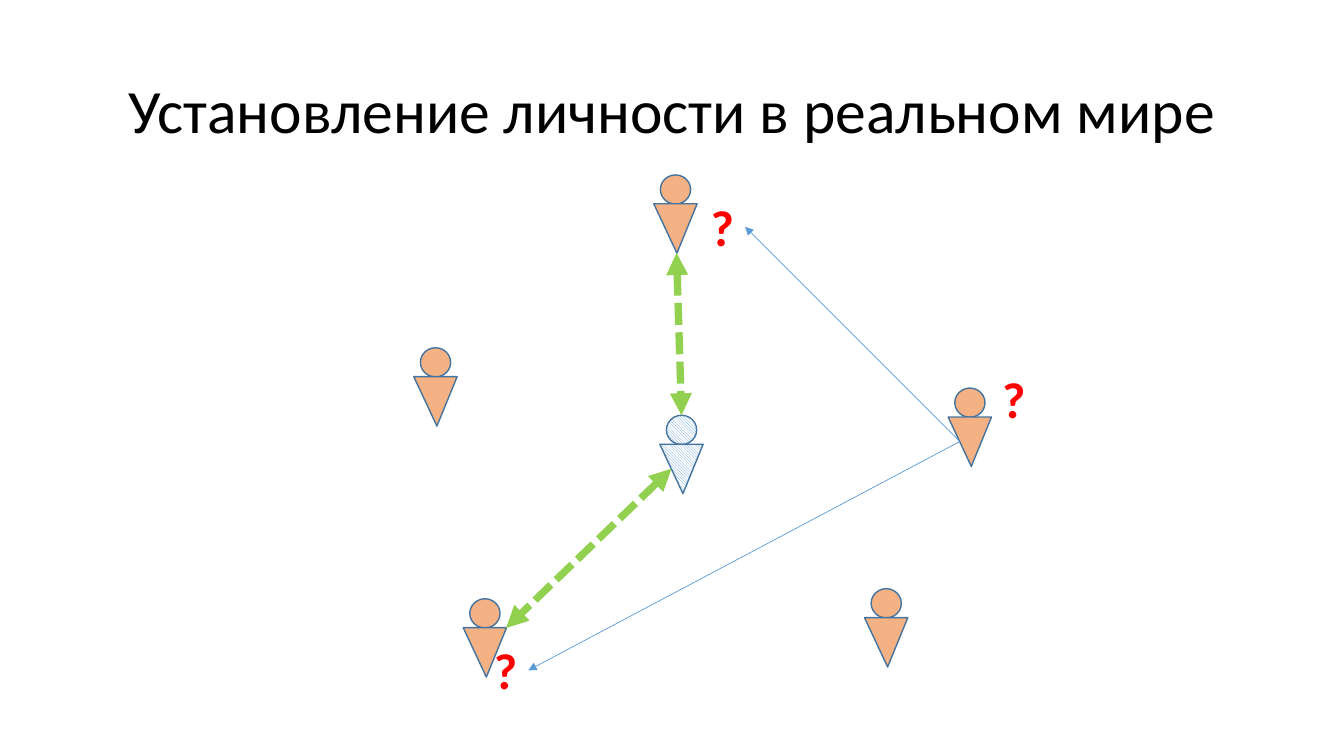
from lxml import etree
from pptx import Presentation
from pptx import util as u
from pptx.dml.color import RGBColor
from pptx.enum import dml, shapes, text
from pptx.oxml import ns

HUES = {"ink": "000000", "paper": "FFFFFF", "skin": "F4B183", "edge": "43739E",
        "blue": "5B9BD5", "green": "92D050", "red": "FF0000"}
CELL = 0.1  # grid step in inches: 133.33 columns by 75 rows


def hue(name):
    return RGBColor.from_string(HUES[name])


def grid(*cells):
    return [u.Inches(c * CELL) for c in cells]


def put(item, form):
    for key, val in form.items():
        setattr(item, key, val)


class Board:
    font = "Calibri"

    def __init__(self, deck):
        self.slide = deck.slides.add_slide(deck.slide_layouts[6])
        self.items = self.slide.shapes

    def label(self, words, box, frame, para, font, tint):
        area = self.items.add_textbox(*grid(*box)).text_frame
        put(area, frame)
        line = area.paragraphs[0]
        line.text = words
        put(line, para)
        put(line.runs[0].font, {"name": self.font, **font})
        line.runs[0].font.color.rgb = hue(tint)

    def limb(self, group, kind, box):
        item = group.shapes.add_shape(kind, *grid(*box))
        item.shadow.inherit = False
        item.line.color.rgb = hue("edge")
        item.line.width = u.Pt(1)
        return item

    def person(self, col, row, hatch=False):
        """Head over a downward triangle; col and row are the head's corner."""
        group = self.items.add_group_shape()
        head = self.limb(group, shapes.MSO_SHAPE.OVAL, (col, row, 3, 2.9))
        body = self.limb(group, shapes.MSO_SHAPE.ISOSCELES_TRIANGLE,
                         (col - 0.66, row + 2.87, 4.3, 4.9))
        body.rotation = 180
        body.adjustments[0] = 0.467
        for item in (head, body):
            if hatch:
                item.fill.patterned()
                item.fill.pattern = dml.MSO_PATTERN.DARK_DOWNWARD_DIAGONAL
                item.fill.fore_color.rgb = hue("blue")
                item.fill.back_color.rgb = hue("paper")
            else:
                item.fill.solid()
                item.fill.fore_color.rgb = hue("skin")

    def arrow(self, start, end, tint, form, tips):
        link = self.items.add_connector(shapes.MSO_CONNECTOR.STRAIGHT,
                                        *grid(*start, *end))
        link.line.color.rgb = hue(tint)
        put(link.line, form)
        frame = link._element.spPr
        stroke = frame.find(ns.qn("a:ln"))
        for tip in tips:
            etree.SubElement(stroke, ns.qn("a:" + tip), type="triangle")
        etree.SubElement(frame, ns.qn("a:effectLst"))


def main():
    deck = Presentation()
    put(deck, {"slide_width": u.Inches(13.33), "slide_height": u.Inches(7.5)})
    board = Board(deck)

    # Title
    board.label("Установление личности в реальном мире", (9.2, 4, 115, 14.5),
                {"word_wrap": True, "vertical_anchor": text.MSO_ANCHOR.MIDDLE},
                {"alignment": text.PP_ALIGN.CENTER, "line_spacing": 0.9},
                {"size": u.Pt(44)}, "ink")

    # People: the hatched one in the centre, the others around
    board.person(66.1, 41.2, hatch=True)
    for spot in ((86.4, 58.4), (41.7, 34.5), (94.7, 38.5), (46.6, 59.4), (65.5, 17.35)):
        board.person(*spot)

    # Two-way dashed links
    thick = {"width": u.Pt(5.25), "dash_style": dml.MSO_LINE.SQUARE_DOT}
    for start, end in (((66.6, 46.5), (50.2, 62.3)), ((67.1, 25.1), (67.6, 41.2))):
        board.arrow(start, end, "green", thick, ("headEnd", "tailEnd"))

    # Question marks
    for col, row in ((48, 62.9), (98.4, 36), (69.5, 19)):
        board.label("?", (col, row, 4.4, 7.1),
                    {"word_wrap": False, "auto_size": text.MSO_AUTO_SIZE.SHAPE_TO_FIT_TEXT},
                    {"alignment": text.PP_ALIGN.LEFT},
                    {"size": u.Pt(36), "bold": True}, "red")

    # Thin arrows from the person on the right
    for end in ((73.9, 22.5), (52.4, 66.5)):
        board.arrow((95.2, 43.8), end, "blue", {"width": u.Pt(0.5)}, ("tailEnd",))

    deck.save("out.pptx")


if __name__ == "__main__":
    main()
